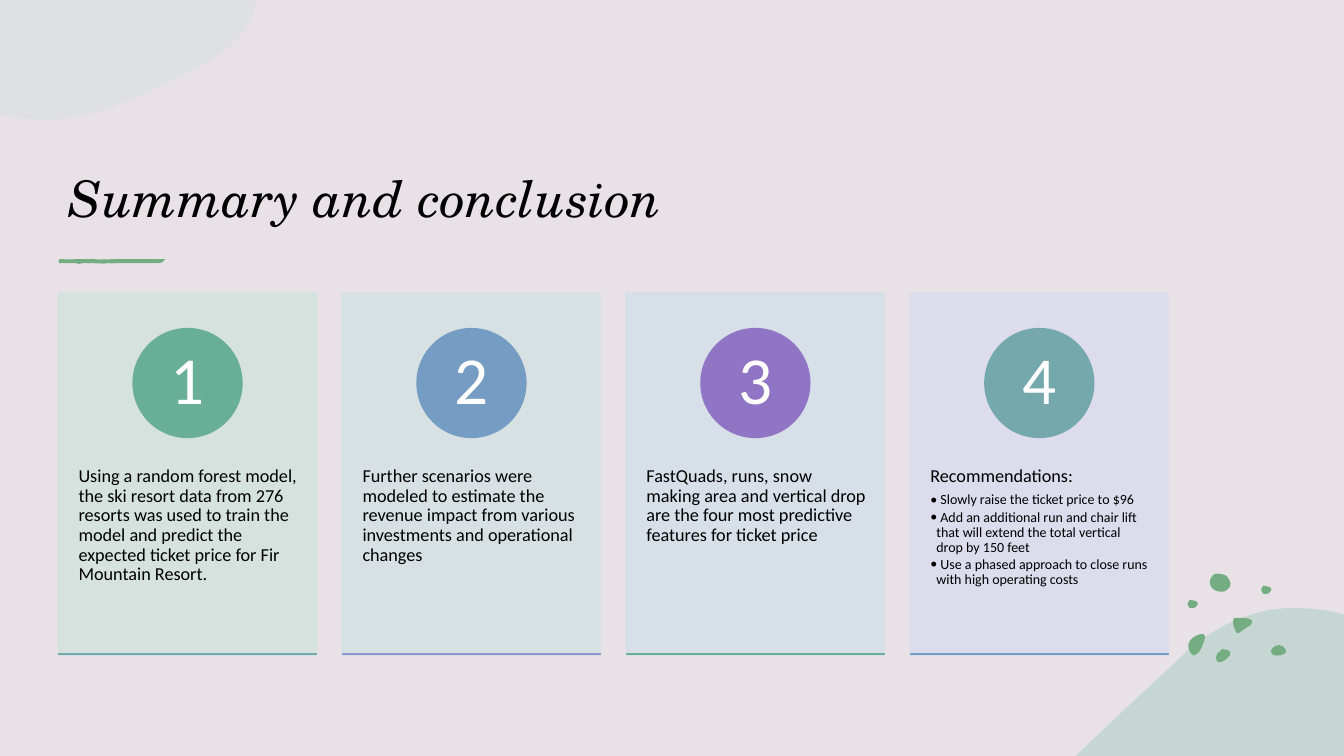
from lxml import etree
from pptx import Presentation
from pptx.dml.color import RGBColor
from pptx.enum.shapes import MSO_SHAPE
from pptx.enum.text import MSO_ANCHOR, PP_ALIGN
from pptx.oxml.ns import qn
from pptx.util import Inches, Pt

RECT, OVAL = MSO_SHAPE.RECTANGLE, MSO_SHAPE.OVAL
TOP, MIDDLE, BOTTOM = MSO_ANCHOR.TOP, MSO_ANCHOR.MIDDLE, MSO_ANCHOR.BOTTOM
LEFT, CENTER = PP_ALIGN.LEFT, PP_ALIGN.CENTER

TITLE = "Summary and conclusion"
BACK, GREEN = "E8E2E7", "74AD82"

# Card fill, circle colour, base line colour, text, bullets
CARDS = [
    ("D4E3DD", "69AE96", "75A8AC",
     "Using a random forest model, the ski resort data from 276 resorts was used to train "
     "the model and predict the expected ticket price for Fir Mountain Resort.", []),
    ("D6E1E3", "759DC3", "8E94CE",
     "Further scenarios were modeled to estimate the revenue impact from various "
     "investments and operational changes", []),
    ("D6DFE9", "8F75C3", "69AE96",
     "FastQuads, runs, snow making area and vertical drop are the four most predictive "
     "features for ticket price", []),
    ("DBDCED", "75A8AC", "759DC3", "Recommendations:",
     [" Slowly raise the ticket price to $96",
      " Add an additional run and chair lift that will extend the total vertical drop by 150 feet",
      " Use a phased approach to close runs with high operating costs"]),
]

# Outlines: two numbers are a straight step, six are a cubic curve
CLOUD = [(0, 0), (2.53, 0), (2.53, 0.06), (2.45, 0.44, 2, 0.67, 1.58, 0.86),
         (1.23, 1.03, 0.86, 1.19, 0.41, 1.19), (0.31, 1.19, 0.22, 1.18, 0.13, 1.16), (0, 1.14)]
HILL = [(12.88, 6.03), (13.01, 6.04, 13.14, 6.05, 13.27, 6.08), (13.33, 6.1), (13.33, 7.5),
        (10.67, 7.5), (10.68, 7.49), (11.02, 7.16, 11.37, 6.84, 11.69, 6.54),
        (11.91, 6.32, 12.14, 6.19, 12.37, 6.11), (12.54, 6.05, 12.71, 6.03, 12.88, 6.03)]
STROKE = [(0.86, 2.61), (0.87, 2.61, 0.89, 2.62, 0.9, 2.61), (0.94, 2.61, 1.05, 2.62, 1.07, 2.61),
          (1.09, 2.61, 1.12, 2.62, 1.15, 2.61), (1.24, 2.61), (1.25, 2.61, 1.31, 2.61, 1.33, 2.61),
          (1.35, 2.61, 1.48, 2.61, 1.49, 2.61), (1.57, 2.61),
          (1.63, 2.61, 1.61, 2.58, 1.64, 2.57), (1.61, 2.57, 1.59, 2.57, 1.57, 2.57),
          (1.51, 2.57, 1.38, 2.57, 1.33, 2.57), (1.27, 2.57, 1.17, 2.57, 1.11, 2.57),
          (1.06, 2.58, 0.94, 2.57, 0.88, 2.57), (0.75, 2.57),
          (0.7, 2.58, 0.64, 2.57, 0.59, 2.57), (0.58, 2.58, 0.57, 2.62, 0.61, 2.61),
          (0.65, 2.61, 0.71, 2.61, 0.75, 2.61), (0.76, 2.62, 0.78, 2.61, 0.79, 2.62),
          (0.79, 2.61, 0.86, 2.61, 0.86, 2.61)]
SPECK = [(12.51, 5.86), (12.51, 5.86, 12.51, 5.82, 12.53, 5.81),
         (12.55, 5.81, 12.56, 5.81, 12.58, 5.82), (12.59, 5.82, 12.61, 5.83, 12.61, 5.85),
         (12.61, 5.86, 12.6, 5.87, 12.59, 5.88), (12.59, 5.88, 12.59, 5.89, 12.57, 5.89),
         (12.56, 5.89, 12.54, 5.9, 12.53, 5.89), (12.52, 5.87, 12.51, 5.87, 12.51, 5.86)]
DOTS = [
    [(12.13, 6.44), (12.15, 6.44, 12.16, 6.44, 12.18, 6.45), (12.2, 6.46, 12.21, 6.48, 12.2, 6.5),
     (12.18, 6.53, 12.12, 6.58, 12.08, 6.57), (12.07, 6.56, 12.06, 6.54, 12.06, 6.52),
     (12.06, 6.5, 12.08, 6.47, 12.1, 6.46), (12.11, 6.45, 12.12, 6.44, 12.13, 6.44)],
    [(11.91, 6.29), (11.93, 6.29, 11.95, 6.29, 11.95, 6.31), (11.95, 6.32, 11.95, 6.32, 11.95, 6.33),
     (11.94, 6.38, 11.92, 6.43, 11.89, 6.47), (11.87, 6.49, 11.84, 6.52, 11.82, 6.49),
     (11.79, 6.46, 11.78, 6.41, 11.79, 6.38), (11.8, 6.35, 11.82, 6.34, 11.84, 6.32),
     (11.85, 6.32, 11.88, 6.29, 11.91, 6.29)],
    [(12.69, 6.4), (12.71, 6.4, 12.74, 6.42, 12.75, 6.44), (12.76, 6.46, 12.76, 6.48, 12.73, 6.49),
     (12.7, 6.51, 12.62, 6.51, 12.61, 6.48), (12.6, 6.46, 12.61, 6.44, 12.62, 6.43),
     (12.64, 6.41, 12.66, 6.4, 12.69, 6.4)],
    [(12.01, 5.81), (12, 5.81, 11.99, 5.75, 12.02, 5.72), (12.04, 5.7, 12.04, 5.69, 12.07, 5.69),
     (12.1, 5.69, 12.14, 5.7, 12.16, 5.71), (12.18, 5.73, 12.22, 5.78, 12.2, 5.82),
     (12.17, 5.85, 12.16, 5.87, 12.12, 5.87), (12.09, 5.87, 12.04, 5.86, 12.03, 5.84),
     (12.01, 5.83, 12.01, 5.82, 12.01, 5.81)],
    SPECK,
    [tuple(v + (0.14 if i % 2 else -0.73) for i, v in enumerate(step)) for step in SPECK],
    [(12.28, 6.13), (12.34, 6.13, 12.45, 6.13, 12.41, 6.19), (12.41, 6.2, 12.4, 6.21, 12.39, 6.21),
     (12.36, 6.23, 12.33, 6.25, 12.3, 6.27), (12.29, 6.28, 12.28, 6.29, 12.27, 6.28),
     (12.27, 6.28, 12.26, 6.27, 12.26, 6.27), (12.24, 6.23, 12.23, 6.2, 12.23, 6.16),
     (12.23, 6.15, 12.23, 6.14, 12.24, 6.13), (12.26, 6.13, 12.27, 6.13, 12.28, 6.13)],
]

WIDE, HIGH, X0, Y0 = 2.56, 3.59, 0.58, 2.91
STEP = WIDE * 1.1
DISC, NUM = 1.08, 0.76


def paint(form, color, alpha=100):
    """Give a fill a solid colour, alpha in percent."""
    form.solid()
    form.fore_color.rgb = RGBColor.from_string(color)
    if alpha < 100:
        tone = form._xPr.find(qn("a:solidFill"))[0]
        etree.SubElement(tone, qn("a:alpha"), val=str(alpha * 1000))


def shape(kind, x, y, w, h, color, alpha=100):
    item = slide.shapes.add_shape(kind, *map(Inches, (x, y, w, h)))
    item.shadow.inherit = False
    paint(item.fill, color, alpha)
    paint(item.line.fill, color, alpha)
    item.line.width = Pt(1)
    return item


def trace(steps, color, alpha=100):
    """Draw a closed outline, joining each three points of a curve step."""
    dots = [(Inches(s[k]), Inches(s[k + 1])) for s in steps for k in range(0, len(s), 2)]
    pen = slide.shapes.build_freeform(*dots[0])
    pen.add_line_segments(dots[1:], close=True)
    item = pen.convert_to_shape()
    item.shadow.inherit = False
    item.line.fill.background()
    paint(item.fill, color, alpha)
    legs = iter(list(item._element.iter(qn("a:lnTo"))))
    for step in steps[1:]:
        leg = next(legs)
        if len(step) == 6:
            curve = etree.Element(qn("a:cubicBezTo"))
            leg.addprevious(curve)
            for part in (leg, next(legs), next(legs)):
                curve.append(part[0])
                part.getparent().remove(part)


def text(x, y, w, h, pads, anchor):
    frame = slide.shapes.add_textbox(*map(Inches, (x, y, w, h))).text_frame
    frame.word_wrap = True
    frame.vertical_anchor = anchor
    for side, pad in zip(("left", "top", "right", "bottom"), pads):
        setattr(frame, "margin_" + side, Inches(pad))
    return frame


def write(para, words, size, color="000000", name="Calibri", italic=False,
          align=LEFT, after=0, space=0.9):
    para.alignment, para.space_after, para.line_spacing = align, Pt(after), space
    run = para.add_run()
    run.text = words
    looks = {"size": Pt(size), "name": name, "italic": italic}
    for key, value in looks.items():
        setattr(run.font, key, value)
    run.font.color.rgb = RGBColor.from_string(color)


def bullet(para):
    para.level = 1
    props = para._p.get_or_add_pPr()
    props.set("marL", str(Inches(0.06)))
    props.set("indent", str(-Inches(0.06)))
    etree.SubElement(props, qn("a:buFont"), typeface="Calibri")
    etree.SubElement(props, qn("a:buChar"), char="•")


deck = Presentation()
deck.slide_width, deck.slide_height = Inches(13.33), Inches(7.5)
slide = deck.slides.add_slide(deck.slide_layouts[6])
paint(slide.background.fill, BACK)

panel = shape(RECT, 0, 0, 13.33, 7.5, BACK)
panel.line.fill.background()
trace(CLOUD, "C8DCDE", 25)
head = text(0.58, 0.86, 11.02, 1.45, (0.1, 0.05, 0.1, 0.05), BOTTOM)
write(head.paragraphs[0], TITLE, 36, name="TeX Gyre Schola", italic=True, space=1)
trace(STROKE, GREEN)
trace(HILL, "A5CEC0", 50)
for dot in DOTS:
    trace(dot, GREEN)

for i, (fill, disc, base, words, points) in enumerate(CARDS):
    x = X0 + i * STEP
    mid = x + WIDE / 2
    shape(RECT, x, Y0, WIDE, HIGH, fill, 90)
    body = text(x, 4.27, WIDE, 2.15, (0.2, 0.36, 0.18, 0.36), TOP)
    write(body.paragraphs[0], words, 13, after=4.5)
    for point in points:
        para = body.add_paragraph()
        write(para, point, 10, after=1.5)
        bullet(para)
    shape(OVAL, mid - DISC / 2, 3.26, DISC, DISC, disc)
    num = text(mid - NUM / 2, 3.42, NUM, NUM, (0.08, 0.01, 0.08, 0.01), MIDDLE)
    write(num.paragraphs[0], str(i + 1), 48, "FFFFFF", align=CENTER)
    shape(RECT, x, 6.49, WIDE, 0, base)

deck.save("out.pptx")
